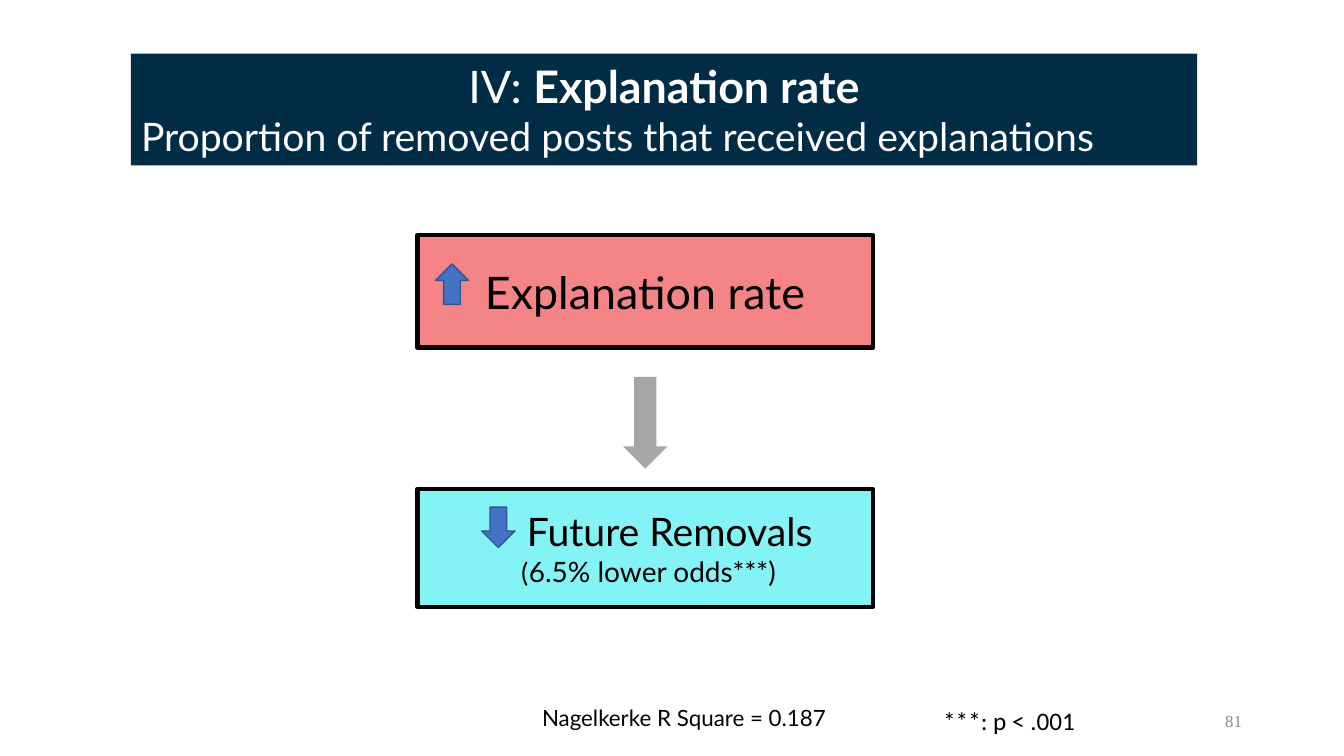
from pptx import Presentation
from pptx.dml.color import RGBColor
from pptx.enum.shapes import MSO_SHAPE as Shape
from pptx.enum.text import MSO_ANCHOR as Anchor, MSO_AUTO_SIZE as AutoSize, PP_ALIGN as Align
from pptx.util import Cm, Pt

NAVY, CORAL, CYAN = "002C46", "F58486", "84F3F5"
BLUE, BLUE_EDGE, GREY = "4472C4", "325491", "A6A6A6"
BLACK, WHITE, NUMBER_GREY = "000000", "FFFFFF", "8C8C8C"


def rgb(value):
    return RGBColor.from_string(value)


class SlideBuilder:
    """Holds the text style and the current slide."""

    style = {"name": "Lato", "size": Pt(28), "bold": False}

    def __init__(self, presentation):
        self.slide = presentation.slides.add_slide(presentation.slide_layouts[5])

    def add_lines(self, shape, lines, anchor=Anchor.MIDDLE, wrap=True):
        """Each line is (alignment, left indent in cm, [(text, colour, format)])."""
        frame = shape.text_frame
        frame.auto_size = AutoSize.NONE
        frame.word_wrap = wrap
        frame.vertical_anchor = anchor
        for index, (alignment, indent, runs) in enumerate(lines):
            paragraph = frame.add_paragraph() if index else frame.paragraphs[0]
            paragraph.alignment = alignment
            if indent:
                properties = paragraph._p.get_or_add_pPr()
                properties.set("marL", str(Cm(indent)))
                properties.set("indent", "0")
            for text, colour, changes in runs:
                run = paragraph.add_run()
                run.text = text
                for key, value in {**self.style, **changes}.items():
                    setattr(run.font, key, value)
                run.font.color.rgb = rgb(colour)

    def title(self, box, fill, lines):
        title = self.slide.shapes.title
        for key, value in zip(("left", "top", "width", "height"), box):
            setattr(title, key, Cm(value))
        title.fill.solid()
        title.fill.fore_color.rgb = rgb(fill)
        self.add_lines(title, lines, Anchor.TOP)

    def shape(self, kind, box, fill, edge=None, edge_width=1, lines=()):
        shape = self.slide.shapes.add_shape(kind, *map(Cm, box))
        shape.shadow.inherit = False
        shape.fill.solid()
        shape.fill.fore_color.rgb = rgb(fill)
        if edge:
            shape.line.color.rgb = rgb(edge)
            shape.line.width = Pt(edge_width)
        else:
            shape.line.fill.background()
        self.add_lines(shape, lines)

    def label(self, box, text, colour=BLACK, alignment=Align.LEFT,
              anchor=Anchor.TOP, **changes):
        text_box = self.slide.shapes.add_textbox(*map(Cm, box))
        self.add_lines(text_box, [(alignment, 0, [(text, colour, changes)])], anchor, wrap=False)


def main():
    presentation = Presentation()
    presentation.slide_width, presentation.slide_height = Cm(33.87), Cm(19.05)
    builder = SlideBuilder(presentation)

    # Title band
    large = {"size": Pt(32)}
    builder.title((3.3, 1.35, 26.87, 2.82), NAVY, [
        (Align.CENTER, 0, [("IV: ", WHITE, large),
                           ("Explanation rate", WHITE, {**large, "bold": True})]),
        (Align.LEFT, 0, [("Proportion of removed posts that received explanations", WHITE, {})]),
    ])

    # Cause and effect boxes
    left, width = 10.52, 11.48
    cause = [(Align.CENTER, 0, [("Explanation rate", BLACK, large)])]
    effect = [
        (Align.CENTER, 1.24, [("Future Removals", BLACK, {})]),
        (Align.CENTER, 0.15, [("(", BLACK, {"name": "Calibri", "size": Pt(20)}),
                              ("6.5% lower odds***)", BLACK, {"size": Pt(20)})]),
    ]
    for top, height, fill, lines in ((5.92, 2.84, CORAL, cause), (12.32, 2.97, CYAN, effect)):
        builder.shape(Shape.RECTANGLE, (left, top, width, height), fill, BLACK, 3, lines)

    # Arrow between the boxes, and the two direction markers
    arrow_width = 1.12
    builder.shape(Shape.DOWN_ARROW,
                  (left + (width - arrow_width) / 2, 9.5, arrow_width, 2.31), GREY)
    for kind, x, y in ((Shape.UP_ARROW, 10.97, 6.65), (Shape.DOWN_ARROW, 12.14, 12.78)):
        builder.shape(kind, (x, y, 0.84, 1.02), BLUE, BLUE_EDGE)

    # Footnotes and slide number
    builder.label((13.41, 17.63, 8.08, 0.94), "Nagelkerke R Square = 0.187", size=Pt(16))
    builder.label((23.52, 17.65, 3.89, 1.02), "***: p < .001", name="Calibri", size=Pt(18))
    builder.label((23.93, 17.65, 7.62, 1.02), "81", NUMBER_GREY, Align.RIGHT, Anchor.MIDDLE,
                  name="Times New Roman", size=Pt(12))

    presentation.save("out.pptx")


if __name__ == "__main__":
    main()
